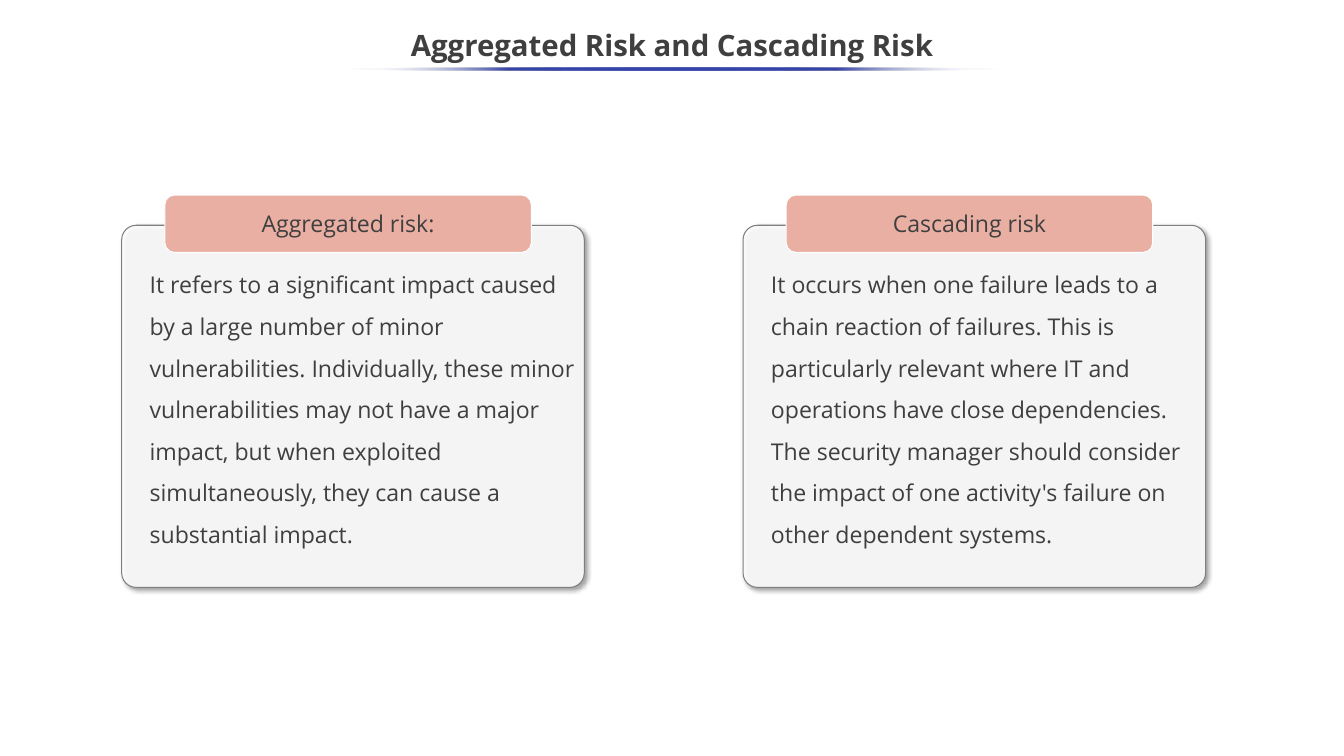
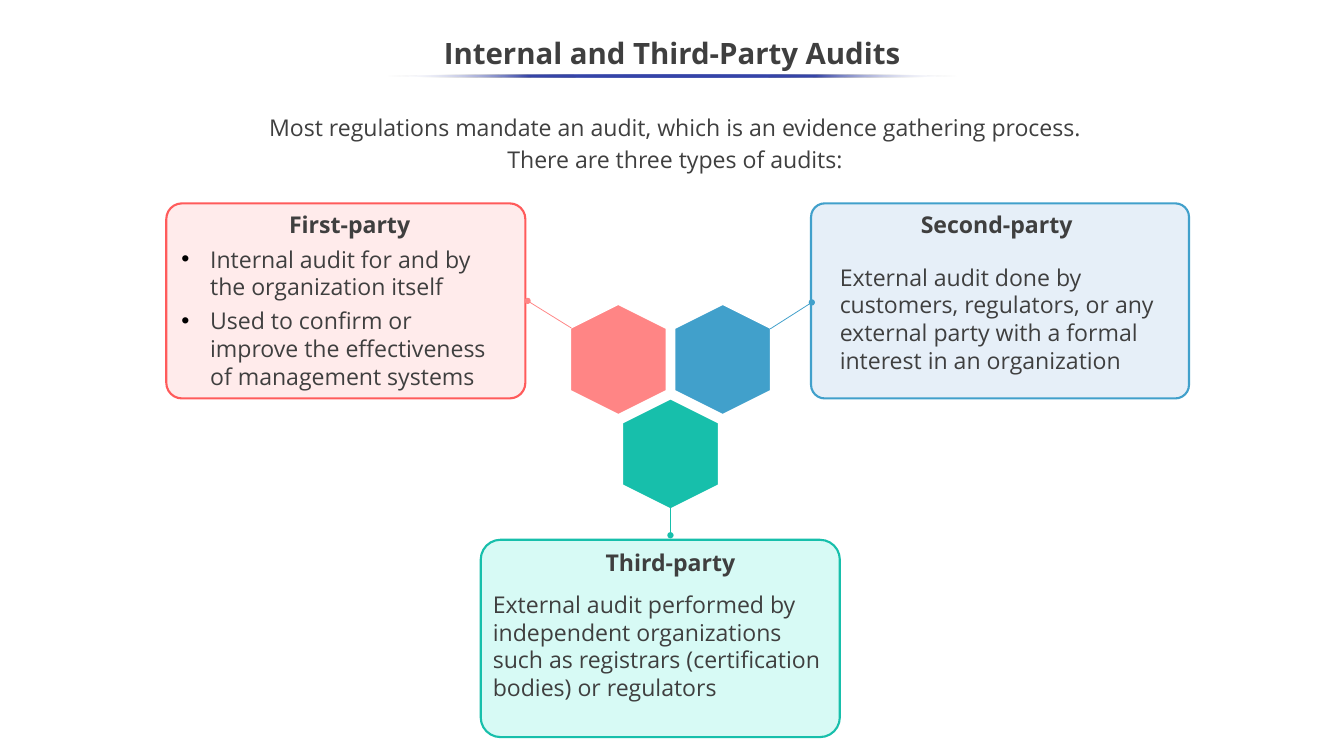
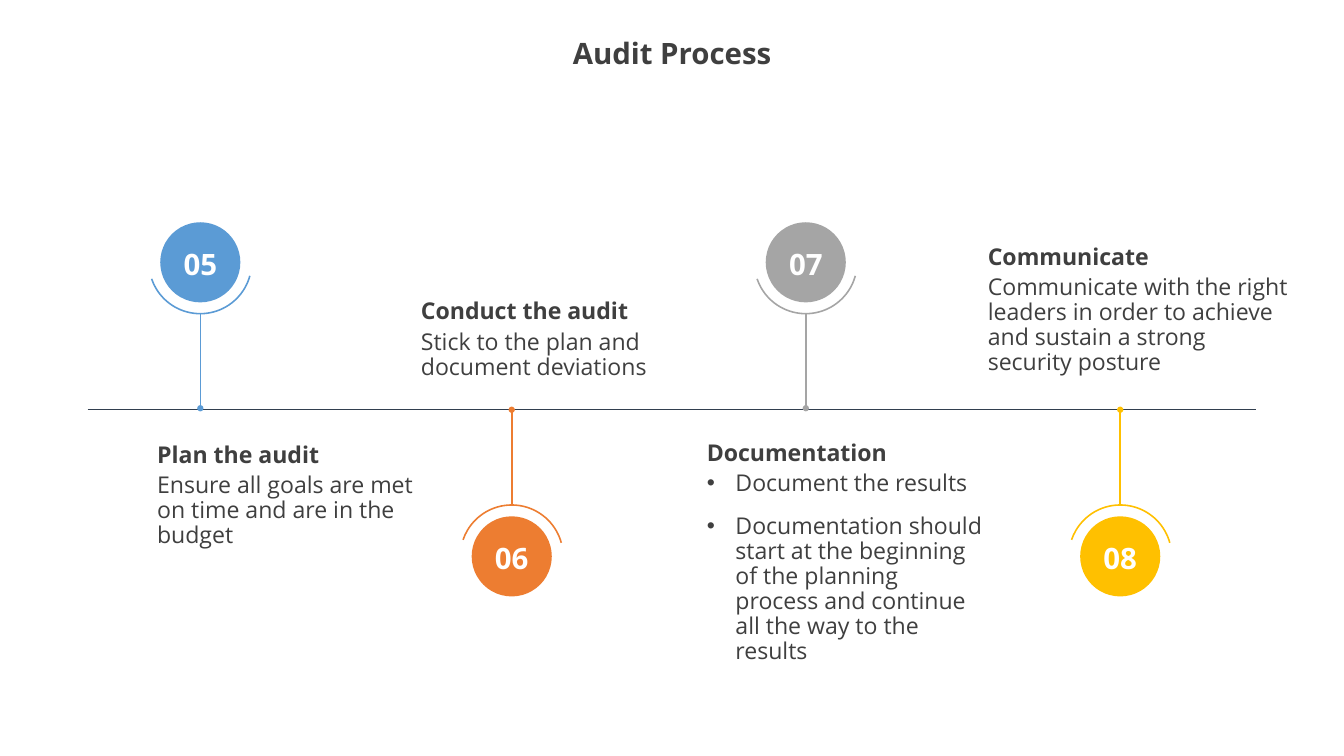
"""Build three slides on risk types, audit parties and the audit process."""
import dataclasses
import typing

import lxml.etree
import pptx
import pptx.dml.color
import pptx.enum.shapes
import pptx.enum.text
import pptx.oxml.ns
import pptx.shapes.autoshape
import pptx.slide
import pptx.text.text
import pptx.util

EMU_PER_PX = 9144
SHAPE = pptx.enum.shapes.MSO_SHAPE
ALIGN = pptx.enum.text.PP_ALIGN
ANCHOR = pptx.enum.text.MSO_ANCHOR
AutoShape = pptx.shapes.autoshape.Shape


@dataclasses.dataclass(frozen=True)
class Theme:
    """Colours, font and type sizes shared by the slides."""

    font: str = "Open Sans"
    title_size: int = 28
    body_size: int = 22
    tight: float = 0.9
    ink: str = "3F3F3F"
    white: str = "FFFFFF"
    black: str = "000000"
    underline: str = "3645A9"
    card_edge: str = "7F7F7F"
    card_tab: str = "E9AFA3"
    axis: str = "323F4F"
    red: str = "FF8585"
    red_edge: str = "FF5B5B"
    red_tint: str = "FFAFAF"
    blue: str = "41A0CB"
    blue_tint: str = "DDEAF6"
    teal: str = "17BFAB"
    teal_tint: str = "ADF5EC"
    step_blue: str = "5B9BD5"
    step_orange: str = "ED7D31"
    step_grey: str = "A5A5A5"
    step_gold: str = "FFC000"


THEME = Theme()


class Box(typing.NamedTuple):
    """A rectangle in px."""

    left: int
    top: int
    width: int
    height: int

    def emu(self) -> list[int]:
        """Return the four lengths in EMU."""
        return [px(length) for length in self]


class Point(typing.NamedTuple):
    """A position in px."""

    x: int
    y: int


@dataclasses.dataclass(frozen=True)
class Para:
    """One paragraph of text and its format."""

    text: str
    bold: bool = False
    size: int = THEME.body_size
    color: str = THEME.ink
    align: ALIGN = ALIGN.LEFT
    spacing: float = 1.0
    before: int = 0
    bullet: str = ""


@dataclasses.dataclass(frozen=True)
class RiskCard:
    """A kind of risk with its definition."""

    left: int
    label: str
    definition: str


@dataclasses.dataclass(frozen=True)
class Party:
    """A kind of audit: its panel, hexagon and link."""

    name: str
    panel: Box
    corner: float
    heading: Box
    detail: Box
    paras: tuple[Para, ...]
    hexagon: Point
    link: tuple[Point, Point]
    color: str
    edge: str
    tint: str
    opacity: int


@dataclasses.dataclass(frozen=True)
class Step:
    """A numbered step on the timeline."""

    number: str
    center: int
    above: bool
    color: str
    caption: Box
    paras: tuple[Para, ...]


def px(length: int) -> int:
    """Convert px to EMU."""
    return pptx.util.Emu(length * EMU_PER_PX)


def rgb(color: str) -> pptx.dml.color.RGBColor:
    """Return a colour object for a hex string."""
    return pptx.dml.color.RGBColor.from_string(color)


def add_xml(parent: typing.Any, tag: str, **attributes: object) -> typing.Any:
    """Append a drawing element and return it."""
    values = {key: str(value) for key, value in attributes.items()}
    return lxml.etree.SubElement(parent, pptx.oxml.ns.qn(f"a:{tag}"), values)


def add_color(parent: typing.Any, color: str, opacity: int = 100) -> None:
    """Append a colour with its opacity in percent."""
    add_xml(add_xml(parent, "srgbClr", val=color), "alpha", val=opacity * 1000)


def write(frame: pptx.text.text.TextFrame, paras: typing.Sequence[Para],
          inset: Point = Point(0, 5), anchor: ANCHOR = ANCHOR.TOP) -> None:
    """Fill a text frame with formatted paragraphs."""
    frame.word_wrap = True
    frame.auto_size = pptx.enum.text.MSO_AUTO_SIZE.NONE
    frame.vertical_anchor = anchor
    frame.margin_left = frame.margin_right = px(inset.x)
    frame.margin_top = frame.margin_bottom = px(inset.y)
    for index, para in enumerate(paras):
        line = frame.paragraphs[0] if index == 0 else frame.add_paragraph()
        properties = line._p.get_or_add_pPr()
        indent = px(38) if para.bullet else 0
        properties.set("marL", str(indent))
        properties.set("indent", str(-indent))
        if para.bullet:
            add_xml(add_xml(properties, "buClr"), "srgbClr", val=para.bullet)
            add_xml(properties, "buFont", typeface="Arial")
            add_xml(properties, "buChar", char="•")
        else:
            add_xml(properties, "buNone")
        line.alignment = para.align
        line.line_spacing = para.spacing
        line.space_before = pptx.util.Pt(para.before)
        run = line.add_run()
        run.text = para.text
        run.font.name = THEME.font
        run.font.size = pptx.util.Pt(para.size)
        run.font.bold = para.bold
        run.font.color.rgb = rgb(para.color)


def add_text(slide: pptx.slide.Slide, box: Box, paras: typing.Sequence[Para],
             inset: Point = Point(0, 5)) -> None:
    """Add a text box."""
    write(slide.shapes.add_textbox(*box.emu()).text_frame, paras, inset)


def add_list(slide: pptx.slide.Slide, box: Box, paras: typing.Sequence[Para],
             inset: Point = Point(0, 5)) -> None:
    """Place the body placeholder in front and fill it."""
    body = slide.placeholders[1]
    body.left, body.top, body.width, body.height = box.emu()
    slide.shapes._spTree.append(body._element)
    write(body.text_frame, paras, inset)


def paint(shape: AutoShape, fill: str = "", edge: str = "",
          weight: float = 1, opacity: int = 100) -> AutoShape:
    """Set the fill and outline of a shape and drop its shadow."""
    shape.shadow.inherit = False
    if fill:
        shape.fill.solid()
        shape.fill.fore_color.rgb = rgb(fill)
        if opacity < 100:
            color = shape._element.spPr.find(".//" + pptx.oxml.ns.qn("a:srgbClr"))
            add_xml(color, "alpha", val=opacity * 1000)
    else:
        shape.fill.background()
    if edge:
        shape.line.color.rgb = rgb(edge)
        shape.line.width = pptx.util.Pt(weight)
    else:
        shape.line.fill.background()
    return shape


def add_round_rect(slide: pptx.slide.Slide, box: Box, corner: float, fill: str,
                   edge: str, weight: float, opacity: int = 100) -> AutoShape:
    """Add a rounded rectangle."""
    shape = slide.shapes.add_shape(SHAPE.ROUNDED_RECTANGLE, *box.emu())
    shape.adjustments[0] = corner
    return paint(shape, fill, edge, weight, opacity)


def add_line(slide: pptx.slide.Slide, start: Point, end: Point, color: str,
             weight: float = 0.75, dot: bool = True) -> None:
    """Add a straight line, with a dot at its end if asked."""
    ends = [px(length) for length in (*start, *end)]
    line = slide.shapes.add_connector(pptx.enum.shapes.MSO_CONNECTOR.STRAIGHT, *ends)
    line.line.color.rgb = rgb(color)
    line.line.width = pptx.util.Pt(weight)
    if dot:
        add_xml(line.line._get_or_add_ln(), "tailEnd", type="oval")
    add_xml(line._element.spPr, "effectLst")


def add_underline(slide: pptx.slide.Slide, box: Box) -> None:
    """Add the thin title rule that fades out at both ends."""
    rule = paint(slide.shapes.add_shape(SHAPE.OVAL, *box.emu()))
    rule.fill.gradient()
    rule.fill.gradient_angle = 0
    stops = rule._element.spPr.find(".//" + pptx.oxml.ns.qn("a:gsLst"))
    for stop in list(stops):
        stops.remove(stop)
    for place in (0, 25, 50, 75, 100):
        faded = place in (0, 100)
        add_color(add_xml(stops, "gs", pos=place * 1000),
                  THEME.white if faded else THEME.underline, 0 if faded else 100)


def start_slide(deck: typing.Any, layout: int, title: str, top: int = 35) -> pptx.slide.Slide:
    """Add a slide with its title."""
    slide = deck.slides.add_slide(deck.slide_layouts[layout])
    heading = slide.shapes.title
    heading.left, heading.top, heading.width, heading.height = Box(0, top, 1778, 75).emu()
    para = Para(title, True, THEME.title_size, align=ALIGN.CENTER, spacing=THEME.tight)
    write(heading.text_frame, [para], Point(5, 5), ANCHOR.MIDDLE)
    return slide


def add_risk_card(slide: pptx.slide.Slide, risk: RiskCard) -> None:
    """Draw a shadowed card with its definition and label tab."""
    card = add_round_rect(slide, Box(risk.left, 298, 612, 479), 0.04, THEME.white,
                          THEME.card_edge, 1, 88)
    effects = card._element.spPr.find(pptx.oxml.ns.qn("a:effectLst"))
    shadow = add_xml(effects, "outerShdw", blurRad=pptx.util.Pt(4), dist=pptx.util.Pt(3),
                     dir=45 * 60000, algn="tl", rotWithShape=0)
    add_color(shadow, THEME.black, 40)
    add_text(slide, Box(risk.left + 12, 315, 627, 451),
             [Para(risk.definition, spacing=1.5)], Point(25, 25))
    tab = add_round_rect(slide, Box(risk.left + 57, 258, 485, 76), 0.17,
                         THEME.card_tab, THEME.white, 1)
    write(tab.text_frame, [Para(risk.label, align=ALIGN.CENTER)], Point(5, 5), ANCHOR.MIDDLE)


def add_party_panel(slide: pptx.slide.Slide, party: Party) -> None:
    """Draw the panel describing one kind of audit."""
    add_round_rect(slide, party.panel, party.corner, party.tint, party.edge, 2, party.opacity)
    add_text(slide, party.heading,
             [Para(party.name, True, align=ALIGN.CENTER, spacing=THEME.tight)])
    fill_detail = add_list if party.paras[0].bullet else add_text
    fill_detail(slide, party.detail, party.paras)


def add_party_hexagon(slide: pptx.slide.Slide, party: Party) -> None:
    """Draw the hexagon of one kind of audit and its link to the panel."""
    corners = ((64, 0), (128, 32), (128, 115), (64, 147), (0, 115), (0, 32))
    outline = [(party.hexagon.x + x, party.hexagon.y + y) for x, y in corners]
    builder = slide.shapes.build_freeform(*outline[0], scale=EMU_PER_PX)
    builder.add_line_segments(outline[1:], close=True)
    paint(builder.convert_to_shape(), party.color, THEME.white, 2)
    add_line(slide, *party.link, party.color)


def add_step(slide: pptx.slide.Slide, step: Step) -> None:
    """Draw a timeline step: stem, arc, numbered disc and caption."""
    middle = 347 if step.above else 736
    side = 1 if step.above else -1
    add_line(slide, Point(step.center, middle + side * 69),
             Point(step.center, 541 - side), step.color, 1.5)
    arc = slide.shapes.add_shape(
        SHAPE.ARC, *Box(step.center - 68, middle - 68, 136, 136).emu())
    degrees = (15.3, 161.2) if step.above else (198.8, 344.7)
    for index, angle in enumerate(degrees):
        arc.adjustments[index] = angle * 0.6
    paint(arc, edge=step.color, weight=1.5)
    disc = paint(slide.shapes.add_shape(
        SHAPE.OVAL, *Box(step.center - 53, middle - 53, 106, 106).emu()), step.color)
    number = Para(step.number, True, THEME.title_size, THEME.white, ALIGN.CENTER)
    write(disc.text_frame, [number], Point(0, 0), ANCHOR.MIDDLE)
    disc.text_frame.margin_top = px(5)
    fill_caption = add_list if step.paras[-1].bullet else add_text
    fill_caption(slide, step.caption, step.paras, Point(10, 5))


def caption_paras(heading: str, *lines: str, bullet: str = "") -> tuple[Para, ...]:
    """Return a bold heading followed by its lines."""
    details = [Para(line, spacing=THEME.tight, before=17 if index else 5, bullet=bullet)
               for index, line in enumerate(lines)]
    return (Para(heading, True, spacing=THEME.tight), *details)


RISKS = (
    RiskCard(161, "Aggregated risk:",
             "It refers to a significant impact caused by a large number of minor "
             "vulnerabilities. Individually, these minor vulnerabilities may not have a "
             "major impact, but when exploited simultaneously, they can cause a "
             "substantial impact."),
    RiskCard(983, "Cascading risk",
             "It occurs when one failure leads to a chain reaction of failures. This is "
             "particularly relevant where IT and operations have close dependencies. The "
             "security manager should consider the impact of one activity's failure on "
             "other dependent systems."),
)
PARTIES = (
    Party("First-party", Box(220, 269, 475, 258), 0.08, Box(284, 277, 357, 43),
          Box(240, 319, 418, 203),
          (Para("Internal audit for and by the organization itself", bullet=THEME.black),
           Para("Used to confirm or improve the effectiveness of management systems",
                before=6, bullet=THEME.black)),
          Point(754, 402), (Point(756, 434), Point(698, 398)),
          THEME.red, THEME.red_edge, THEME.red_tint, 24),
    Party("Second-party", Box(1073, 269, 500, 258), 0.07, Box(1118, 277, 401, 43),
          Box(1111, 343, 437, 158),
          (Para("External audit done by customers, regulators, or any external party "
                "with a formal interest in an organization"),),
          Point(892, 402), (Point(1019, 435), Point(1074, 400)),
          THEME.blue, THEME.blue, THEME.blue_tint, 73),
    Party("Third-party", Box(636, 714, 475, 261), 0.1, Box(700, 725, 374, 43),
          Box(652, 776, 456, 158),
          (Para("External audit performed by independent organizations such as "
                "registrars (certification bodies) or regulators"),),
          Point(823, 527), (Point(887, 648), Point(887, 708)),
          THEME.teal, THEME.teal, THEME.teal_tint, 48),
)
STEPS = (
    Step("05", 265, True, THEME.step_blue, Box(198, 582, 385, 150), caption_paras(
        "Plan the audit", "Ensure all goals are met on time and are in the budget")),
    Step("06", 677, False, THEME.step_orange, Box(547, 392, 341, 117), caption_paras(
        "Conduct the audit", "Stick to the plan and document deviations")),
    Step("07", 1066, True, THEME.step_grey, Box(925, 579, 388, 307), caption_paras(
        "Documentation", "Document the results",
        "Documentation should start at the beginning of the planning process and "
        "continue all the way to the results", bullet=THEME.ink)),
    Step("08", 1482, False, THEME.step_gold, Box(1297, 320, 423, 184), caption_paras(
        "Communicate", "Communicate with the right leaders in order to achieve and "
        "sustain a strong security posture")),
)


def main() -> None:
    """Build and save the deck."""
    deck = pptx.Presentation()
    deck.slide_width, deck.slide_height = px(1778), px(1000)

    risks = start_slide(deck, 5, "Aggregated Risk and Cascading Risk", 25)
    for risk in RISKS:
        add_risk_card(risks, risk)
    add_underline(risks, Box(457, 89, 865, 4))

    audits = start_slide(deck, 1, "Internal and Third-Party Audits")
    intro = ("Most regulations mandate an audit, which is an evidence gathering process.",
             "There are three types of audits:")
    add_text(audits, Box(114, 135, 1558, 105),
             [Para(line, align=ALIGN.CENTER, spacing=1.14) for line in intro], Point(10, 10))
    for party in PARTIES:
        add_party_panel(audits, party)
    for party in PARTIES:
        add_party_hexagon(audits, party)
    add_underline(audits, Box(511, 99, 756, 4))

    process = start_slide(deck, 1, "Audit Process")
    add_line(process, Point(116, 541), Point(1662, 541), THEME.axis, dot=False)
    for step in STEPS:
        add_step(process, step)

    deck.save("out.pptx")


if __name__ == "__main__":
    main()
